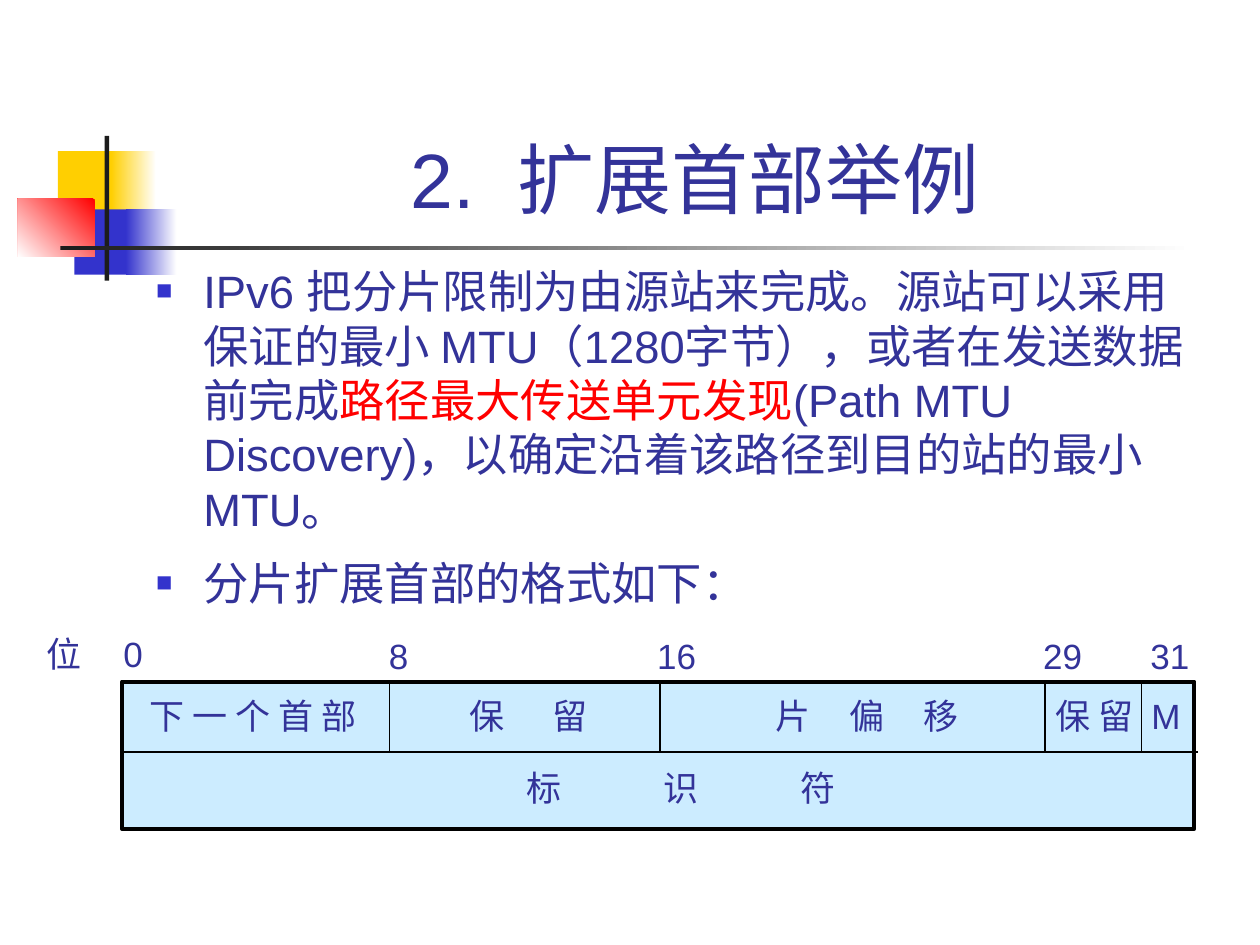
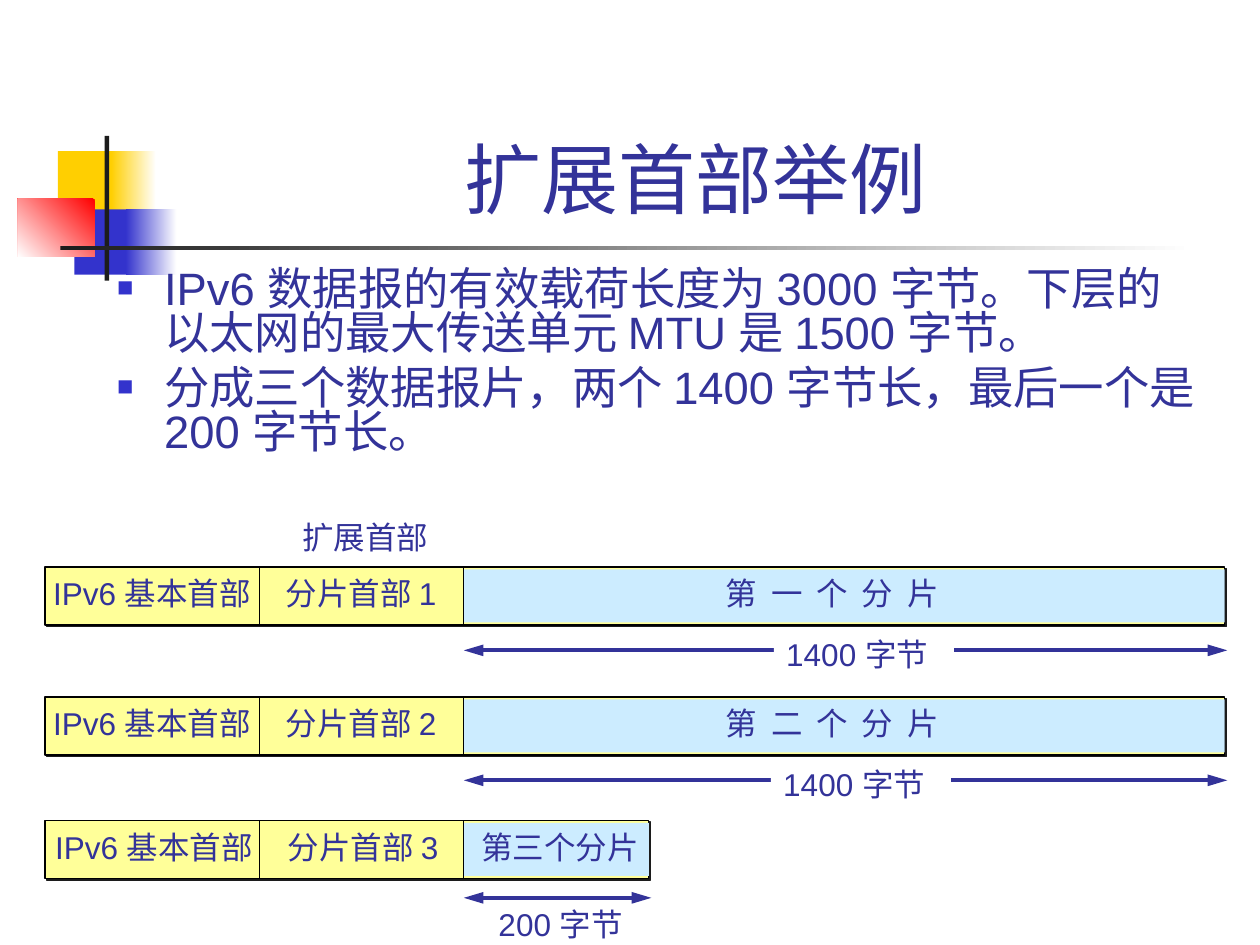
from lxml import etree
from pptx import Presentation
from pptx.dml.color import RGBColor
from pptx.enum.shapes import MSO_CONNECTOR, MSO_SHAPE
from pptx.enum.text import MSO_ANCHOR, MSO_AUTO_SIZE, PP_ALIGN
from pptx.oxml.ns import qn
from pptx.util import Cm, Pt

RECT, STRAIGHT = MSO_SHAPE.RECTANGLE, MSO_CONNECTOR.STRAIGHT
TOP, BOTTOM = MSO_ANCHOR.TOP, MSO_ANCHOR.BOTTOM
LEFT, CENTER = PP_ALIGN.LEFT, PP_ALIGN.CENTER
FIXED = MSO_AUTO_SIZE.NONE
SLACK = 0.12

WHITE = RGBColor(0xFF, 0xFF, 0xFF)
BLACK = RGBColor(0x00, 0x00, 0x00)
CHARCOAL = RGBColor(0x1C, 0x1C, 0x1C)
INK = RGBColor(0x33, 0x33, 0x99)
BLUE = RGBColor(0x33, 0x33, 0xCC)
GOLD = RGBColor(0xFF, 0xCF, 0x01)
RED = RGBColor(0xFF, 0x00, 0x00)
PALE_BLUE = RGBColor(0xCC, 0xEC, 0xFF)
PALE_YELLOW = RGBColor(0xFF, 0xFF, 0x99)

MOTIF = [
    ((1.17, 3.05, 1.22, 1.32), GOLD, None),
    ((2.24, 3.05, 0.91, 1.32), GOLD, 0),
    ((1.5, 4.22, 1.17, 1.32), BLUE, None),
    ((2.54, 4.22, 1.02, 1.32), BLUE, 0),
    ((0.36, 4.01, 1.55, 1.17), RED, 225),
    ((2.11, 2.74, 0.09, 2.92), CHARCOAL, None),
    ((1.22, 4.95, 22.86, 0.1), CHARCOAL, 0),
]


def apply(target, values):
    """Set each named value on the target."""
    for name, value in values.items():
        setattr(target, name, value)


def child(parent, tag, **attributes):
    """Append a DrawingML element."""
    return etree.SubElement(parent, qn(tag), attributes)


class Deck:
    """Holds the shared style and the slide being built."""

    def __init__(self):
        """Open an empty 4:3 presentation."""
        self.file = Presentation()
        apply(self.file, {"slide_width": Cm(25.4), "slide_height": Cm(19.05)})
        self.slide = None

    def start(self, *title_runs):
        """Add a slide with its title and corner motif."""
        self.slide = self.file.slides.add_slide(self.file.slide_layouts[5])
        title = self.slide.shapes.title
        apply(title, {"left": Cm(3.2), "top": Cm(0.58), "width": Cm(21.64), "height": Cm(4.06)})
        self.frame(title, BOTTOM)
        paragraph = title.text_frame.paragraphs[0]
        paragraph.alignment = CENTER
        for text, spacing in title_runs:
            self.run(paragraph, text, 44, spacing=spacing)
        for place, color, angle in MOTIF:
            self.box(place, color, fade=angle)

    def frame(self, holder, anchor=TOP):
        """Give a text frame the common margins and wrapping."""
        apply(holder.text_frame, {
            "margin_left": Cm(0.25), "margin_right": Cm(0.25),
            "margin_top": Cm(0.13), "margin_bottom": Cm(0.13),
            "vertical_anchor": anchor, "word_wrap": True, "auto_size": FIXED,
        })

    def run(self, paragraph, text, size, color=INK, spacing=0):
        """Add styled text, with letter spacing in points."""
        run = paragraph.add_run()
        run.text = text
        apply(run.font, {"name": "Arial", "size": Pt(size)})
        run.font.color.rgb = color
        if spacing:
            run.font._element.set("spc", str(round(spacing * 100)))

    def box(self, place, color, border=0, fade=None, shadow=False):
        """Draw a rectangle, plain or fading to white."""
        shape = self.slide.shapes.add_shape(RECT, *map(Cm, place))
        shape.shadow.inherit = False
        if fade is None:
            shape.fill.solid()
            shape.fill.fore_color.rgb = color
        else:
            shape.fill.gradient()
            shape.fill.gradient_angle = fade
            for stop, tone in zip(shape.fill.gradient_stops, (color, WHITE)):
                stop.color.rgb = tone
        if border:
            shape.line.width = Pt(border)
            shape.line.color.rgb = BLACK
        else:
            shape.line.fill.background()
        if shadow:
            effects = shape._element.spPr.find(qn("a:effectLst"))
            cast = child(effects, "a:outerShdw", dist=str(Pt(1.4)), dir="2700000", algn="ctr")
            child(cast, "a:srgbClr", val=str(CHARCOAL))

    def line(self, x1, y1, x2, y2, color=BLACK, width=1, arrows=False):
        """Draw a straight line, with arrowheads at both ends if asked."""
        link = self.slide.shapes.add_connector(STRAIGHT, *map(Cm, (x1, y1, x2, y2)))
        link.line.width = Pt(width)
        link.line.color.rgb = color
        if arrows:
            stroke = link._element.spPr.find(qn("a:ln"))
            for end in ("a:headEnd", "a:tailEnd"):
                child(stroke, end, type="triangle", w="med", len="lg")
        child(link._element.spPr, "a:effectLst")

    def label(self, x, y, width, text, size=18, align=LEFT, spacing=0, back=None):
        """Place a one-line label with a little slack in its width."""
        height = 1.09 if size == 20 else 1.02
        left = x - SLACK / 2 if align == CENTER else x
        holder = self.slide.shapes.add_textbox(*map(Cm, (left, y, width + SLACK, height)))
        self.frame(holder)
        if back is not None:
            holder.fill.solid()
            holder.fill.fore_color.rgb = back
        paragraph = holder.text_frame.paragraphs[0]
        paragraph.alignment = align
        if spacing:
            self.run(paragraph, text[:-1], size, spacing=spacing)
            text = text[-1]
        self.run(paragraph, text, size)

    def bullets(self, place, items, gap, leading=1.0):
        """Place a bulleted list; each item is a list of (text, color)."""
        holder = self.slide.shapes.add_textbox(*map(Cm, place))
        self.frame(holder)
        frame = holder.text_frame
        for index, item in enumerate(items):
            paragraph = frame.add_paragraph() if index else frame.paragraphs[0]
            properties = paragraph._p.get_or_add_pPr()
            properties.set("marL", str(Cm(0.95)))
            properties.set("indent", str(-Cm(0.95)))
            child(child(properties, "a:buClr"), "a:srgbClr", val=str(BLUE))
            child(properties, "a:buSzPct", val="60000")
            child(properties, "a:buFont", typeface="Arial")
            child(properties, "a:buChar", char="■")
            apply(paragraph, {"line_spacing": leading, "space_before": Pt(gap if index else 0)})
            for text, color in item:
                self.run(paragraph, text, 25.9, color)


def fragment_header(deck):
    """Build the slide on the fragment header format."""
    deck.start(("2.", 0), (" ", 12), ("扩展首部举例", 0))
    deck.bullets((2.9, 5.18, 21.59, 7.75), [
        [("IPv6 把分片限制为由源站来完成。源站可以采用保证的最小 MTU（1280字节），或者在发送数据前完成", INK),
         ("路径最大传送单元发现", RED),
         ("(Path MTU Discovery)，以确定沿着该路径到目的站的最小 MTU。", INK)],
        [("分片扩展首部的格式如下：", INK)],
    ], gap=11)
    deck.box((2.46, 13.74, 21.62, 2.97), PALE_BLUE, border=2.25)
    deck.line(2.49, 15.16, 24.16, 15.16)
    for x in (7.85, 13.31, 21.06, 23.01):
        deck.line(x, 13.77, x, 15.18)
    for x, y, width, bit in [
        (0.69, 12.62, 1.22, "位"), (2.24, 12.62, 0.89, "0"), (7.59, 12.67, 0.89, "8"),
        (13, 12.67, 1.3, "16"), (20.78, 12.67, 1.3, "29"), (22.94, 12.67, 1.3, "31"),
    ]:
        deck.label(x, y, width, bit, size=20)
    for x, y, width, field, spacing in [
        (2.77, 13.87, 4.67, "下 一 个 首 部", 0),
        (9.22, 13.87, 3.1, "保 留", 11.4),
        (15.39, 13.87, 4.22, "片 偏 移", 8.85),
        (21.03, 13.87, 2.08, "保 留", 0),
        (22.96, 13.87, 1.09, "M", 0),
        (10.36, 15.32, 6.73, "标 识 符", 26.85),
    ]:
        deck.label(x, y, width, field, size=20, spacing=spacing)


def fragment_example(deck):
    """Build the slide that splits a datagram into three fragments."""
    deck.start(("扩展首部举例", 0))
    deck.bullets((2.11, 5.33, 22.38, 4.6), [
        [("IPv6 数据报的有效载荷长度为 3000 字节。下层的以太网的最大传送单元 MTU 是 1500 字节。", INK)],
        [("分成三个数据报片，两个 1400 字节长，最后一个是 200 字节长。", INK)],
    ], gap=7, leading=0.8)
    start, data = 0.91, 9.35
    long_data = (15.34, 14.38, 4.83, 1.95)
    short_data = (3.73, 9.45, 3.68, 0)
    fragments = [
        (11.43, 0, long_data, "第 一 个 分 片", "1400 字节", (15.6, 1.24, 3.51), 1.68, WHITE),
        (14.05, 0, long_data, "第 二 个 分 片", "1400 字节", (15.54, 1.24, 3.51), 1.68, WHITE),
        (16.54, 0.04, short_data, "第三个分片", "200 字节", (9.8, 1.57, 3.15), 1.56, None),
    ]
    for number, (top, shift, payload, name, size, size_at, arrow, back) in enumerate(fragments, 1):
        length, name_x, name_width, spacing = payload
        deck.box((start, top, data - start + length, 1.17), PALE_YELLOW, border=0.75, shadow=True)
        deck.box((data, top + 0.05, length, 1.07), PALE_BLUE)
        for x in (5.23, data):
            deck.line(x, top, x, top + 1.17, width=0.75)
        deck.label(0.74 + shift, top + 0.02, 4.65, "IPv6 基本首部", align=CENTER)
        deck.label(5.44 + shift, top + 0.02, 3.68, f"分片首部 {number}", align=CENTER)
        deck.label(name_x, top + 0.02, name_width, name, spacing=spacing)
        deck.line(data, top + arrow, data + length + 0.05, top + arrow, INK, 2.25, arrows=True)
        size_x, drop, size_width = size_at
        deck.label(size_x, top + drop, size_width, size, back=back)
    deck.label(5.84, 10.31, 3.05, "扩展首部", align=CENTER)


def main():
    """Build both slides and save them."""
    deck = Deck()
    fragment_header(deck)
    fragment_example(deck)
    deck.file.save("out.pptx")


if __name__ == "__main__":
    main()
